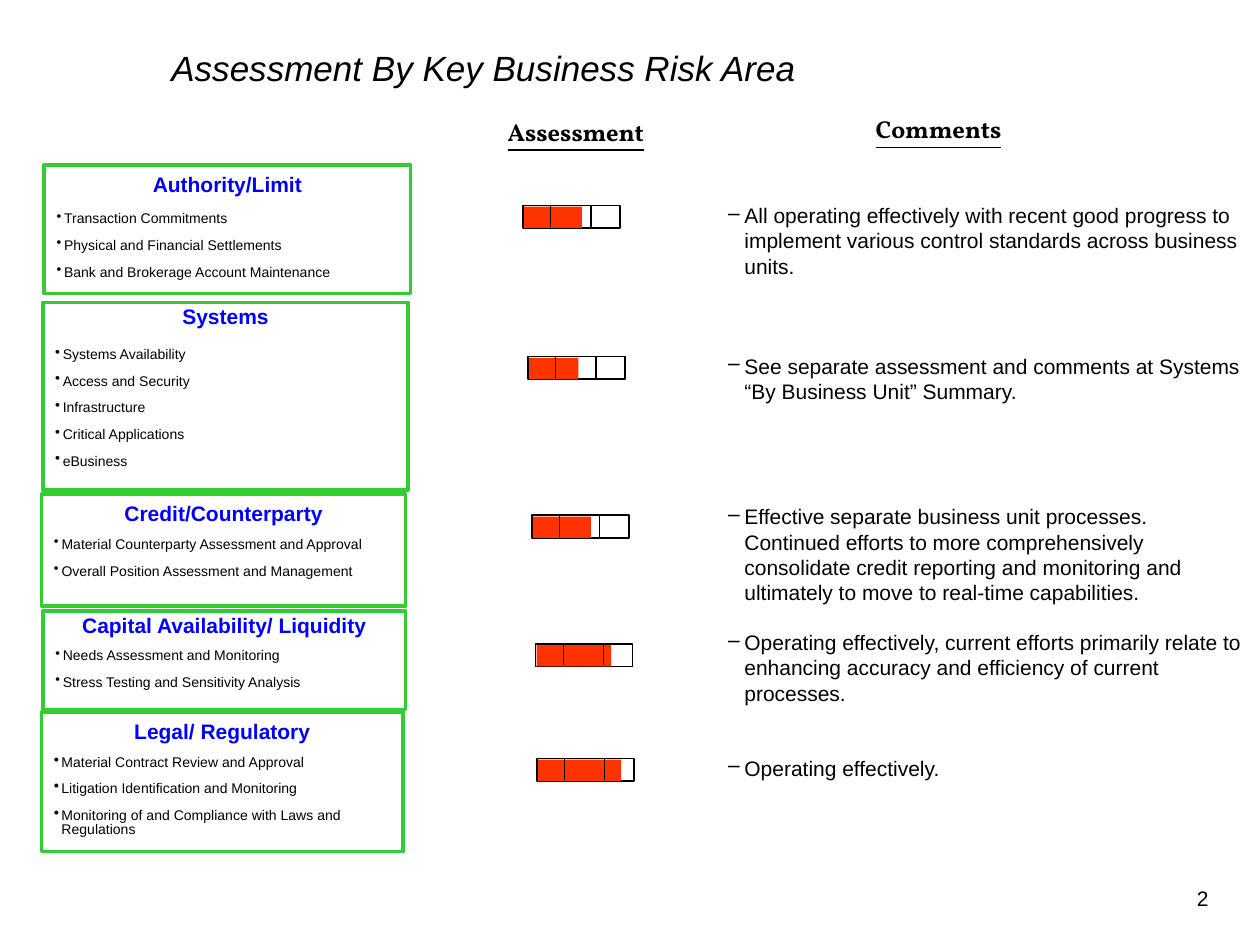
from dataclasses import dataclass
from lxml.etree import SubElement as Sub
from pptx import Presentation
from pptx.dml.color import RGBColor as RGB
from pptx.enum.shapes import MSO_CONNECTOR as Link, MSO_SHAPE as Kind
from pptx.enum.text import MSO_ANCHOR as Anchor, MSO_AUTO_SIZE as Auto, PP_ALIGN as Align
from pptx.oxml.ns import qn
from pptx.util import Inches, Pt


@dataclass(frozen=True)
class Theme:
    sans: str = "Arial"
    serif: str = "Vollkorn"
    black: str = "000000"
    white: str = "FFFFFF"
    blue: str = "0000FF"
    green: str = "33CC33"
    red: str = "FF3300"
    title: float = 20
    head: float = 14
    body: float = 12
    small: float = 8
    tight: float = 0.8


# Area: left, top, width, height, heading line spacing, gap below heading, bullet percent
AREAS = [
    ("Authority/Limit", (0.35, 1.31, 2.91, 1.02), 1, 9.5, 100,
     ["Transaction Commitments", "Physical and Financial Settlements",
      "Bank and Brokerage Account Maintenance"]),
    ("Systems", (0.34, 2.4, 2.9, 1.49), 0.8, 11.4, 105,
     ["Systems Availability", "Access and Security", "Infrastructure",
      "Critical Applications", "eBusiness"]),
    ("Credit/Counterparty", (0.33, 3.92, 2.89, 0.89), 1, 7.6, 100,
     ["Material Counterparty Assessment and Approval",
      "Overall Position Assessment and Management"]),
    ("Capital Availability/ Liquidity", (0.34, 4.85, 2.88, 0.78), 0.8, 7.1, 100,
     ["Needs Assessment and Monitoring", "Stress Testing and Sensitivity Analysis"]),
    ("Legal/ Regulatory", (0.33, 5.65, 2.87, 1.11), 1, 7.6, 110,
     ["Material Contract Review and Approval", "Litigation Identification and Monitoring",
      "Monitoring of and Compliance with Laws and Regulations"]),
]
# Meter: left, top, filled width
METERS = [(4.15, 1.63, 0.46), (4.19, 2.83, 0.39), (4.22, 4.09, 0.46),
          (4.25, 5.11, 0.59), (4.26, 6.02, 0.66)]
# Comment: blank lines above, text
NOTES = [
    (0, "All operating effectively with recent good progress to implement various "
        "control standards across business units."),
    (3, "See separate assessment and comments at Systems “By Business Unit” Summary."),
    (4, "Effective separate business unit processes.  Continued efforts to more "
        "comprehensively consolidate credit reporting and monitoring and ultimately "
        "to move to real-time capabilities."),
    (1, "Operating effectively, current efforts primarily relate to enhancing accuracy "
        "and efficiency of current processes."),
    (2, "Operating effectively."),
]


class Deck:
    """Holds the theme and the current slide."""

    def __init__(self, theme):
        self.theme = theme
        self.file = Presentation()
        self.file.slide_width, self.file.slide_height = Inches(10), Inches(7.5)
        self.slide = self.file.slides.add_slide(self.file.slide_layouts[5])

    def style(self, par, text, size, color=None, font=None, bold=False,
              italic=False, line=False):
        par.text = text
        for run in par.runs:
            face = run.font
            face.name, face.size = font or self.theme.sans, Pt(size)
            face.bold, face.italic, face.underline = bold, italic, line
            face.color.rgb = RGB.from_string(color or self.theme.black)

    def space(self, par, gap=0, lines=1, align=Align.LEFT):
        par.space_before, par.line_spacing, par.alignment = Pt(gap), lines, align

    def hang(self, par, inch, mark=None, pct=100):
        """Give a hanging indent and, if there is a mark, a bullet."""
        prop = par._p.get_or_add_pPr()
        prop.set("marL", str(Inches(inch)))
        prop.set("indent", str(-Inches(inch)))
        if mark:
            tint = Sub(prop, qn("a:buClr"))
            Sub(tint, qn("a:srgbClr"), val=self.theme.black)
            Sub(prop, qn("a:buSzPct"), val=str(pct * 1000))
            Sub(prop, qn("a:buChar"), char=mark)

    def title(self, text, spot):
        shape = self.slide.shapes.title
        shape.left, shape.top, shape.width, shape.height = map(Inches, spot)
        shape.fill.solid()
        shape.fill.fore_color.rgb = RGB.from_string(self.theme.white)
        frame = shape.text_frame
        frame.auto_size, frame.vertical_anchor = Auto.NONE, Anchor.TOP
        par = frame.paragraphs[0]
        self.space(par)
        self.style(par, text, self.theme.title, italic=True)

    def label(self, text, spot, size, **look):
        box = self.slide.shapes.add_textbox(*map(Inches, spot))
        box.text_frame.word_wrap = False
        self.style(box.text_frame.paragraphs[0], text, size, **look)

    def rect(self, spot, fill=None, line=None, width=1):
        shape = self.slide.shapes.add_shape(Kind.RECTANGLE, *map(Inches, spot))
        shape.shadow.inherit = False
        if fill:
            shape.fill.solid()
            shape.fill.fore_color.rgb = RGB.from_string(fill)
        else:
            shape.fill.background()
        if line:
            shape.line.color.rgb = RGB.from_string(line)
            shape.line.width = Pt(width)
        else:
            shape.line.fill.background()
        return shape

    def area(self, name, spot, lines, gap, pct, items):
        look = self.theme
        frame = self.rect(spot, line=look.green, width=2).text_frame
        frame.word_wrap, frame.vertical_anchor = True, Anchor.TOP
        head = frame.paragraphs[0]
        self.hang(head, 0.06)
        self.space(head, lines=lines, align=Align.CENTER)
        self.style(head, name, look.body, look.blue, bold=True)
        for num, item in enumerate(items):
            par = frame.add_paragraph()
            self.hang(par, 0.06, "•", pct)
            self.space(par, 7.6 if num else gap, look.tight)
            self.style(par, item, look.small)

    def notes(self, items, spot):
        frame = self.slide.shapes.add_textbox(*map(Inches, spot)).text_frame
        frame.word_wrap = True
        for num, (rows, text) in enumerate(items):
            par = frame.add_paragraph() if num else frame.paragraphs[0]
            self.hang(par, 0.13, "–")
            self.space(par, rows * 14.3)
            self.style(par, text, self.theme.body)

    def meter(self, left, top, done):
        look = self.theme
        self.rect((left, top, 0.77, 0.18), look.white, look.black)
        self.rect((left + 0.01, top + 0.01, done, 0.17), look.red)
        for step in (0.22, 0.54):
            self.tick(left + step, top)

    def tick(self, left, top):
        ends = map(Inches, (left, top, left, top + 0.17))
        line = self.slide.shapes.add_connector(Link.STRAIGHT, *ends)
        line.line.color.rgb = RGB.from_string(self.theme.black)
        line.line.width = Pt(0.75)
        Sub(line._element.spPr, qn("a:effectLst"))


def main():
    look = Theme()
    deck = Deck(look)
    deck.title("Assessment By Key Business Risk Area", (1.26, 0.32, 5.75, 0.43))
    for text, spot in (("Assessment", (3.93, 0.88, 1.35, 0.33)),
                       ("Comments", (6.85, 0.86, 1.25, 0.33))):
        deck.label(text, spot, look.head, font=look.serif, bold=True, line=True)
    for area in AREAS:
        deck.area(*area)
    deck.notes(NOTES, (5.68, 1.56, 4.32, 4.9))
    for meter in METERS:
        deck.meter(*meter)
    deck.label("2", (9.4, 6.98, 0.29, 0.3), look.body)
    deck.file.save("out.pptx")


if __name__ == "__main__":
    main()
